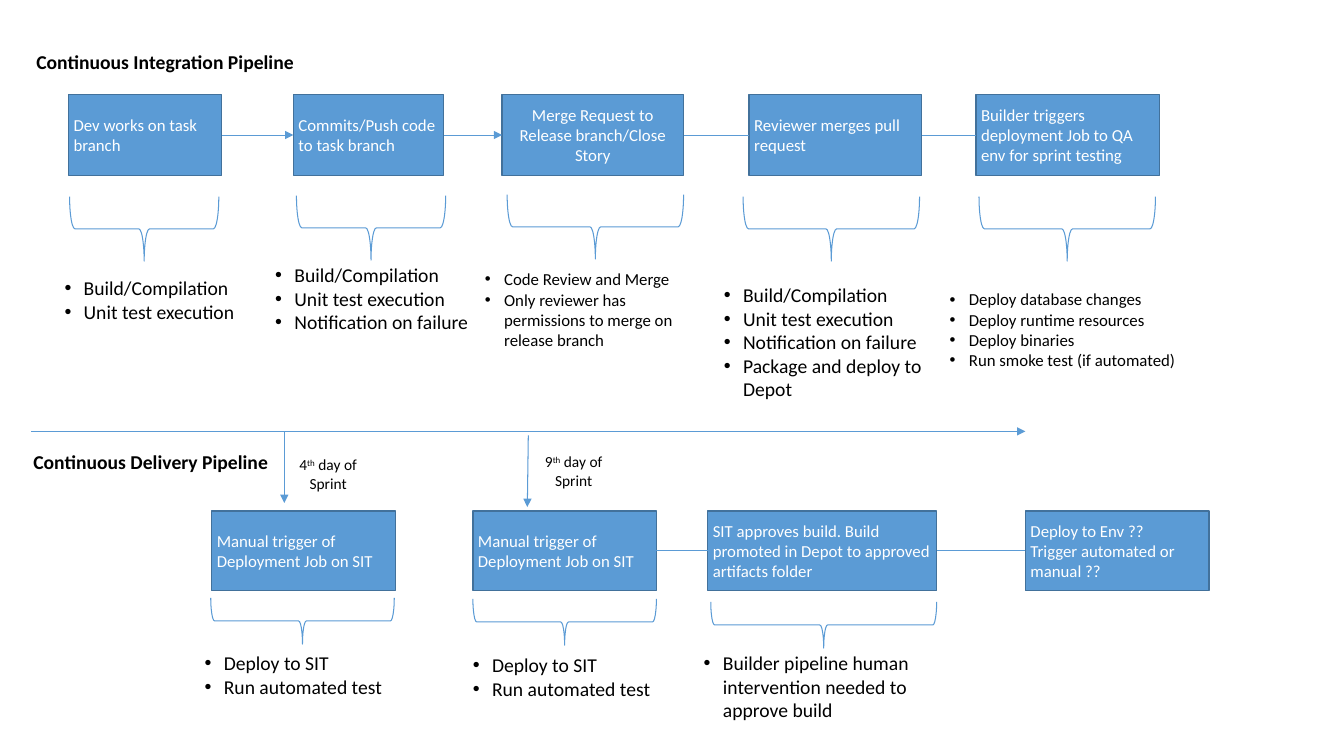
from dataclasses import dataclass

from lxml import etree
from pptx import Presentation
from pptx import util as u
from pptx.dml.color import RGBColor
from pptx.enum import shapes, text
from pptx.oxml import ns


@dataclass(frozen=True)
class Theme:
    """Colours, font and type sizes of the slide."""
    font: str = "Calibri"
    blue: RGBColor = RGBColor(0x5B, 0x9B, 0xD5)
    edge: RGBColor = RGBColor(0x42, 0x71, 0x9B)
    ink: RGBColor = RGBColor(0, 0, 0)
    paper: RGBColor = RGBColor(0xFF, 0xFF, 0xFF)
    heading: int = 14
    step: int = 12
    note: int = 14
    small_note: int = 12
    timing: int = 11


def write(frame, paragraphs, size, color, font, bold=False, bullet=False,
          align=text.PP_ALIGN.LEFT, anchor=text.MSO_ANCHOR.TOP):
    """Fill a frame; a paragraph is a string or a tuple with its second run raised."""
    frame.word_wrap = True
    frame.vertical_anchor = anchor
    frame.margin_left = frame.margin_right = u.Inches(0.05)
    frame.margin_top = frame.margin_bottom = u.Inches(0.05)
    for index, content in enumerate(paragraphs):
        line = frame.add_paragraph() if index else frame.paragraphs[0]
        line.alignment = align
        if bullet:
            props = line._p.get_or_add_pPr()
            props.set("marL", str(u.Inches(0.19)))
            props.set("indent", str(-u.Inches(0.19)))
            etree.SubElement(props, ns.qn("a:buFont")).set("typeface", "Arial")
            etree.SubElement(props, ns.qn("a:buChar")).set("char", "•")
        pieces = (content,) if isinstance(content, str) else content
        for position, piece in enumerate(pieces):
            run = line.add_run()
            run.text = piece
            run.font.name, run.font.size, run.font.bold = font, u.Pt(size), bold
            run.font.color.rgb = color
            if position == 1:
                run._r.get_or_add_rPr().set("baseline", "30000")


class PipelineSlide:
    """Holds the theme and the slide being built."""

    def __init__(self, slide, theme):
        """Keep the slide and its theme."""
        self.slide, self.theme = slide, theme

    def label(self, left, top, width, height, paragraphs, size, **style):
        """Add free-standing text."""
        area = map(u.Inches, (left, top, width, height))
        write(self.slide.shapes.add_textbox(*area).text_frame, paragraphs,
              size, self.theme.ink, self.theme.font, **style)

    def step(self, left, top, width, height, paragraphs, align):
        """Add one filled pipeline step and return it."""
        area = map(u.Inches, (left, top, width, height))
        box = self.slide.shapes.add_shape(shapes.MSO_SHAPE.RECTANGLE, *area)
        box.shadow.inherit = False
        box.fill.solid()
        box.fill.fore_color.rgb = self.theme.blue
        box.line.color.rgb, box.line.width = self.theme.edge, u.Pt(1)
        write(box.text_frame, paragraphs, self.theme.step, self.theme.paper,
              self.theme.font, align=align, anchor=text.MSO_ANCHOR.MIDDLE)
        return box

    def brace(self, left, top, width, depth):
        """Add a brace that opens upward and points down."""
        area = map(u.Inches, (left + (width - depth) / 2,
                              top + (depth - width) / 2, depth, width))
        brace = self.slide.shapes.add_shape(shapes.MSO_SHAPE.LEFT_BRACE, *area)
        brace.rotation = 270
        brace.shadow.inherit = False
        brace.fill.background()
        brace.line.color.rgb, brace.line.width = self.theme.blue, u.Pt(0.75)

    def line(self, x1, y1, x2, y2, arrow=True):
        """Add a straight line, with an arrowhead at its end if asked."""
        ends = map(u.Inches, (x1, y1, x2, y2))
        line = self.slide.shapes.add_connector(
            shapes.MSO_CONNECTOR.STRAIGHT, *ends)
        line.line.color.rgb, line.line.width = self.theme.blue, u.Pt(0.75)
        if arrow:
            etree.SubElement(line.line._get_or_add_ln(),
                             ns.qn("a:tailEnd")).set("type", "triangle")
        etree.SubElement(line._element.spPr, ns.qn("a:effectLst"))
        return line

    def link(self, first, second, arrow):
        """Join the right side of one step to the left side of the next."""
        line = self.line(0, 0, 0, 0, arrow)
        line.begin_connect(first, 3)
        line.end_connect(second, 1)

    def row(self, steps, top, height, depth, links):
        """Add a row of steps with braces and notes, then its links."""
        boxes = []
        for step in steps:
            boxes.append(self.step(step.left, top, step.width, height,
                                   step.words, step.align))
            if step.notes:
                self.brace(*step.brace, depth)
                self.label(*step.note_area, step.notes, step.note_size,
                           bullet=True)
        for start, arrow in links.items():
            self.link(boxes[start], boxes[start + 1], arrow)


@dataclass
class Step:
    """A pipeline step; brace is left, top, width."""
    left: float
    width: float
    words: list
    brace: tuple = ()
    note_area: tuple = ()
    notes: tuple = ()
    note_size: int = Theme.note
    align: text.PP_ALIGN = text.PP_ALIGN.LEFT


BUILD = ["Build/Compilation", "Unit test execution"]
BUILD_ALERT = BUILD + ["Notification on failure"]
SIT_TRIGGER = ["Manual trigger of Deployment Job on SIT"]
SIT_NOTES = ["Deploy to SIT", "Run automated test"]

INTEGRATION = [
    Step(0.68, 1.52, ["Dev works on task branch"],
         (0.69, 1.95, 1.48), (0.59, 2.69, 2.2, 0.77), BUILD),
    Step(2.91, 1.49, ["Commits/Push code to task branch"],
         (2.94, 1.94, 1.48), (2.68, 2.56, 2.2, 0.99), BUILD_ALERT),
    Step(4.98, 1.8, ["Merge Request to Release branch/Close Story"],
         (5.03, 1.93, 1.75), (4.76, 2.62, 2.28, 0.88),
         ["Code Review and Merge",
          "Only reviewer has permissions to merge on release branch"],
         Theme.small_note, text.PP_ALIGN.CENTER),
    Step(7.43, 1.71, ["Reviewer merges pull request"],
         (7.37, 1.95, 1.75), (7.13, 2.76, 2.2, 1.43),
         BUILD_ALERT + ["Package and deploy to Depot"]),
    Step(9.68, 1.82,
         ["Builder triggers deployment Job to QA env for sprint testing"],
         (9.71, 1.95, 1.75), (9.37, 2.82, 2.5, 1.27),
         ["Deploy database changes", "Deploy runtime resources",
          "Deploy binaries", "Run smoke test (if automated)"],
         Theme.small_note),
]
DELIVERY = [
    Step(2.1, 1.82, SIT_TRIGGER,
         (2.09, 5.93, 1.82), (1.98, 6.41, 2.2, 0.54), SIT_NOTES),
    Step(4.69, 1.82, SIT_TRIGGER,
         (4.69, 5.94, 1.82), (4.64, 6.43, 2.2, 0.54), SIT_NOTES),
    Step(7.02, 2.27, ["SIT approves build. Build promoted in Depot to "
                      "approved artifacts folder"],
         (7.05, 5.97, 2.24), (6.93, 6.41, 2.2, 0.99),
         ["Builder pipeline human intervention needed to approve build"]),
    Step(10.17, 1.82, ["Deploy to Env ??", "Trigger automated or manual ??"]),
]

deck = Presentation()
deck.slide_width, deck.slide_height = u.Inches(13.33), u.Inches(7.5)
theme = Theme()
pipelines = PipelineSlide(deck.slides.add_slide(deck.slide_layouts[6]), theme)

pipelines.label(0.31, 0.45, 2.95, 0.54, ["Continuous Integration Pipeline"],
                theme.heading, bold=True)
pipelines.row(INTEGRATION, 0.94, 0.8, 0.64,
              {0: True, 1: True, 2: False, 3: False})

pipelines.label(0.28, 4.41, 2.61, 0.54, ["Continuous Delivery Pipeline"],
                theme.heading, bold=True)
pipelines.row(DELIVERY, 5.07, 0.79, 0.46, {1: False, 2: False})

pipelines.line(0.31, 4.28, 10.17, 4.28)
pipelines.line(2.82, 4.28, 2.82, 4.99)
pipelines.line(5.24, 4.32, 5.23, 5.03)
for day, area in (("4", (2.74, 4.47, 1.03, 0.43)),
                  ("9", (5.23, 4.44, 0.92, 0.43))):
    pipelines.label(*area, [(day, "th", " day of Sprint")], theme.timing,
                    align=text.PP_ALIGN.CENTER)

deck.save("out.pptx")
